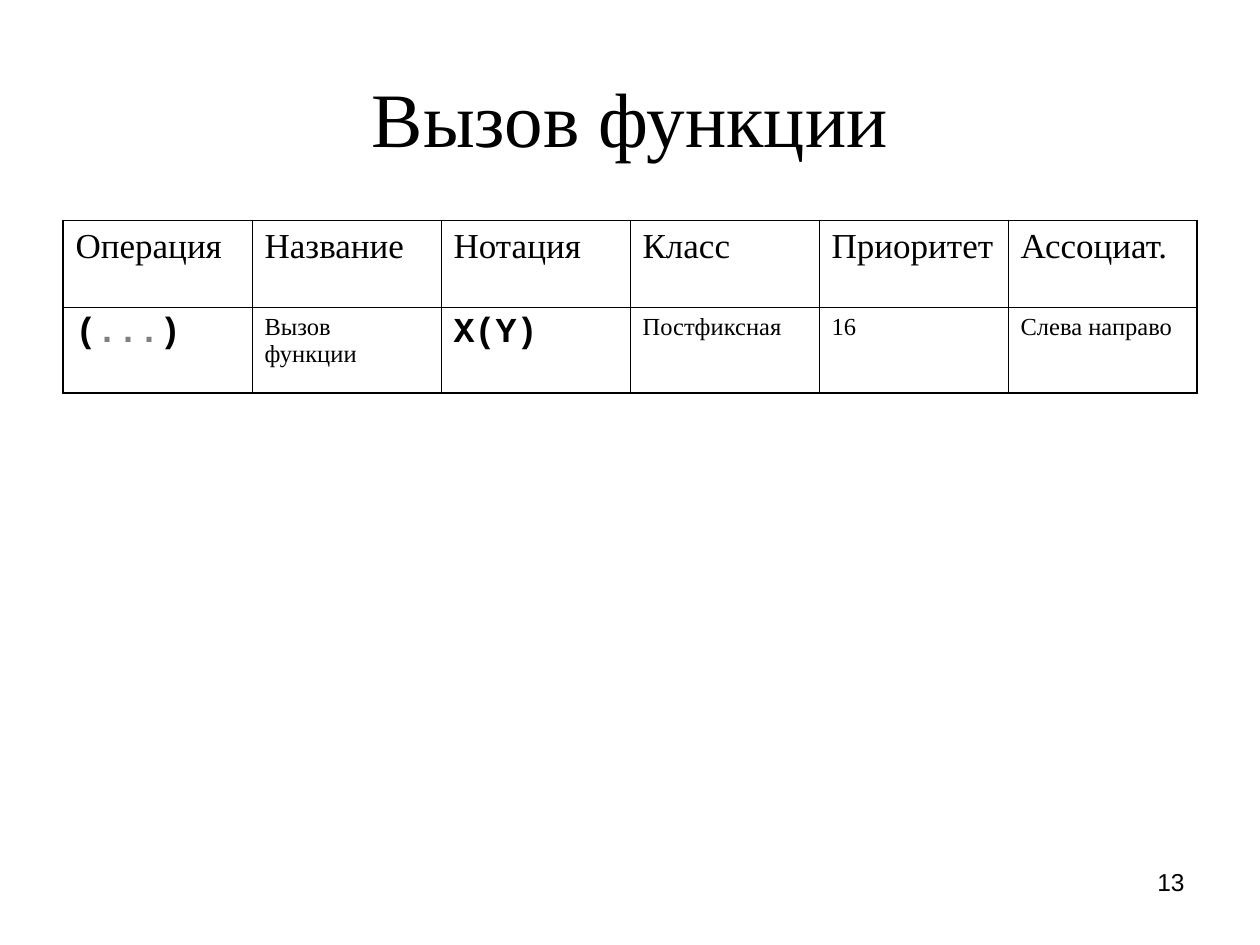
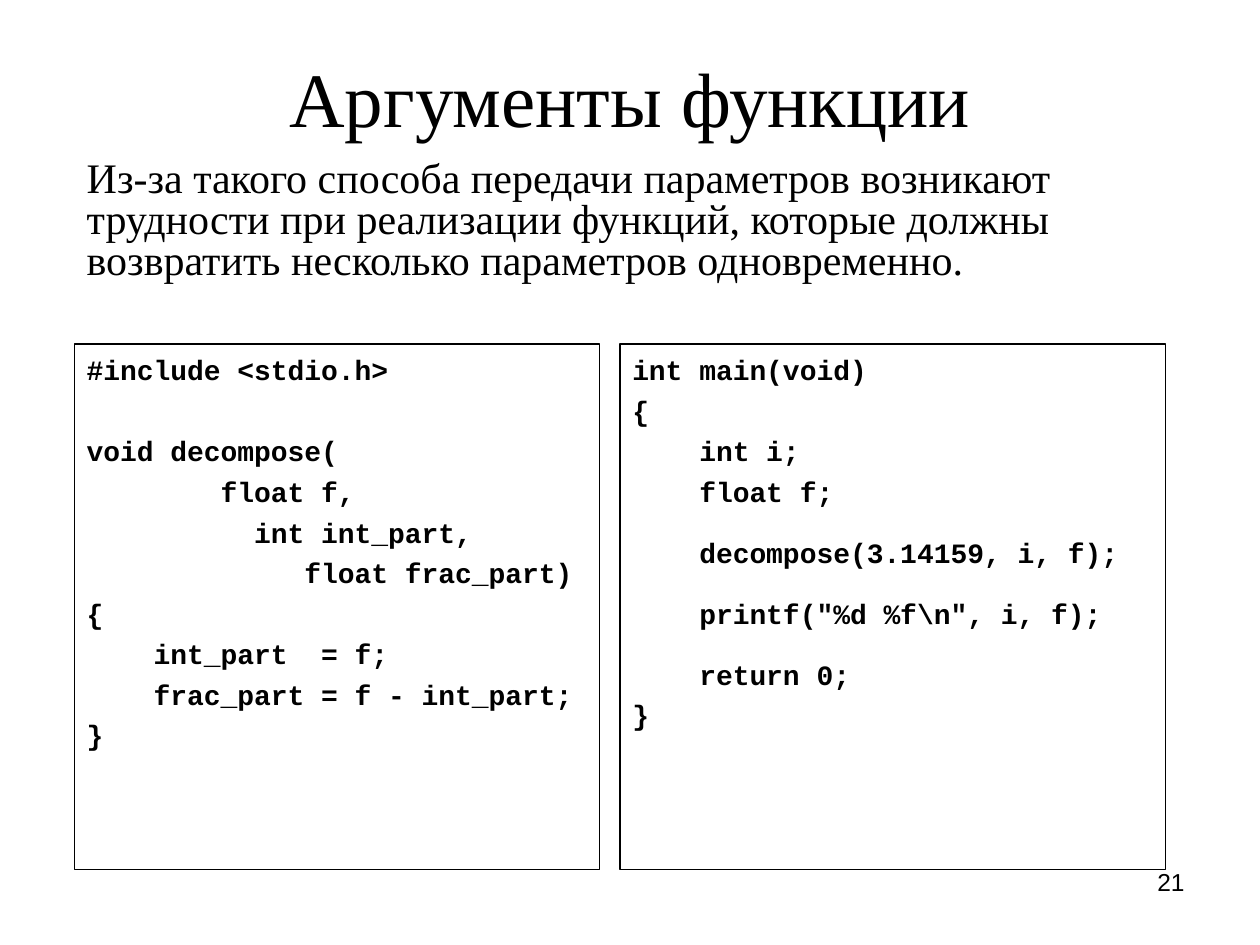
from lxml import etree
from pptx import Presentation
from pptx import util as u
from pptx.dml.color import RGBColor
from pptx.enum import shapes, text
from pptx.oxml.ns import qn

PX = 9144
BLACK, GRAY = "000000", "808080"
HEAD = {"name": "Times New Roman", "size": u.Pt(44), "bold": False}
BODY = {**HEAD, "size": u.Pt(24)}
LABEL = {**HEAD, "size": u.Pt(20)}
SMALL = {**HEAD, "size": u.Pt(14)}
MONO = {"name": "Courier New", "size": u.Pt(20), "bold": True}
CODE = {**MONO, "size": u.Pt(16)}
PAGE = {"name": "Arial", "size": u.Pt(14)}
PITCH = 19.2

NAMES = ["Операция", "Название", "Нотация", "Класс", "Приоритет", "Ассоциат."]
CALL = [
    ([("(", BLACK), ("...", GRAY), (")", BLACK)], MONO),
    ([("Вызов функции", BLACK)], SMALL),
    ([("X(Y)", BLACK)], MONO),
    ([("Постфиксная", BLACK)], SMALL),
    ([("16", BLACK)], SMALL),
    ([("Слева направо", BLACK)], SMALL),
]
NOTE = ("Из-за такого способа передачи параметров возникают трудности при "
        "реализации функций, которые должны возвратить несколько параметров "
        "одновременно.")
SPLIT = """#include <stdio.h>

void decompose(
        float f,
          int int_part,
             float frac_part)
{
    int_part  = f;
    frac_part = f - int_part;
}"""
START = r"""int main(void)
{
    int i;
    float f;

    decompose(3.14159, i, f);

    printf("%d %f\n", i, f);

    return 0;
}"""


def px(*vals):
    return [u.Emu(v * PX) for v in vals]


def color(hue):
    return RGBColor.from_string(hue)


def write(par, words, style, hue=BLACK):
    run = par.add_run()
    run.text = words
    for key, val in style.items():
        setattr(run.font, key, val)
    run.font.color.rgb = color(hue)


def add_page(deck, title, high, num):
    slide = deck.slides.add_slide(deck.slide_layouts[5])
    head = slide.shapes.title
    head.left, head.top, head.width, head.height = px(50, 30, 900, high)
    frame = head.text_frame
    frame.vertical_anchor = text.MSO_ANCHOR.MIDDLE
    frame.auto_size = text.MSO_AUTO_SIZE.NONE
    par = frame.paragraphs[0]
    par.alignment = text.PP_ALIGN.CENTER
    write(par, title, HEAD)
    par = add_text(slide, (717, 683, 233, 52), num, PAGE)
    par.alignment = text.PP_ALIGN.RIGHT
    return slide


def add_text(slide, area, words, style):
    frame = slide.shapes.add_textbox(*px(*area)).text_frame
    frame.word_wrap = True
    par = frame.paragraphs[0]
    write(par, words, style)
    return par


def add_code(slide, area, code, blank):
    box = slide.shapes.add_shape(shapes.MSO_SHAPE.RECTANGLE, *px(*area))
    box.shadow.inherit = False
    box.fill.background()
    box.line.color.rgb = color(BLACK)
    box.line.width = u.Pt(0.75)
    frame = box.text_frame
    frame.word_wrap = True
    frame.vertical_anchor = text.MSO_ANCHOR.TOP
    frame.margin_top, = px(7)
    par, gap = frame.paragraphs[0], 0
    for row, line in enumerate(code.split("\n")):
        if not line:
            gap += blank
            continue
        if row:
            par = frame.add_paragraph()
        par.alignment = text.PP_ALIGN.LEFT
        par.line_spacing = u.Pt(PITCH)
        par.space_before = u.Pt(gap)
        write(par, line, CODE)
        gap = 4


def edge(cell, sides):
    props = cell._tc.get_or_add_tcPr()
    for spot, (side, outer) in enumerate(sides.items()):
        line = etree.Element(qn("a:ln" + side), w=str(u.Pt(1.08 if outer else 0.45)))
        fill = etree.SubElement(line, qn("a:solidFill"))
        etree.SubElement(fill, qn("a:srgbClr"), val=BLACK)
        props.insert(spot, line)


def add_grid(slide, area, rows, highs):
    wide = len(rows[0])
    grid = slide.shapes.add_table(len(rows), wide, *px(*area)).table
    grid.first_row = grid.horz_banding = False
    for row, high in zip(grid.rows, px(*highs)):
        row.height = high
    for r, row in enumerate(rows):
        for c, (runs, style) in enumerate(row):
            cell = grid.cell(r, c)
            cell.fill.background()
            edge(cell, {"L": c == 0, "R": c == wide - 1,
                        "T": r == 0, "B": r == len(rows) - 1})
            for words, hue in runs:
                write(cell.text_frame.paragraphs[0], words, style, hue)


def main():
    deck = Presentation()
    deck.slide_width, deck.slide_height = px(1000, 750)

    slide = add_page(deck, "Вызов функции", 125, "13")
    heads = [([(name, BLACK)], LABEL) for name in NAMES]
    add_grid(slide, (50, 175, 900, 137), [heads, CALL], (69, 68))

    slide = add_page(deck, "Аргументы функции", 93, "21")
    add_code(slide, (59, 273, 417, 417), SPLIT, PITCH + 4)
    add_code(slide, (492, 273, 433, 417), START, PITCH / 2 + 2)
    note = add_text(slide, (59, 123, 866, 110), NOTE, BODY)
    note.line_spacing = u.Pt(23.4)

    deck.save("out.pptx")


if __name__ == "__main__":
    main()
